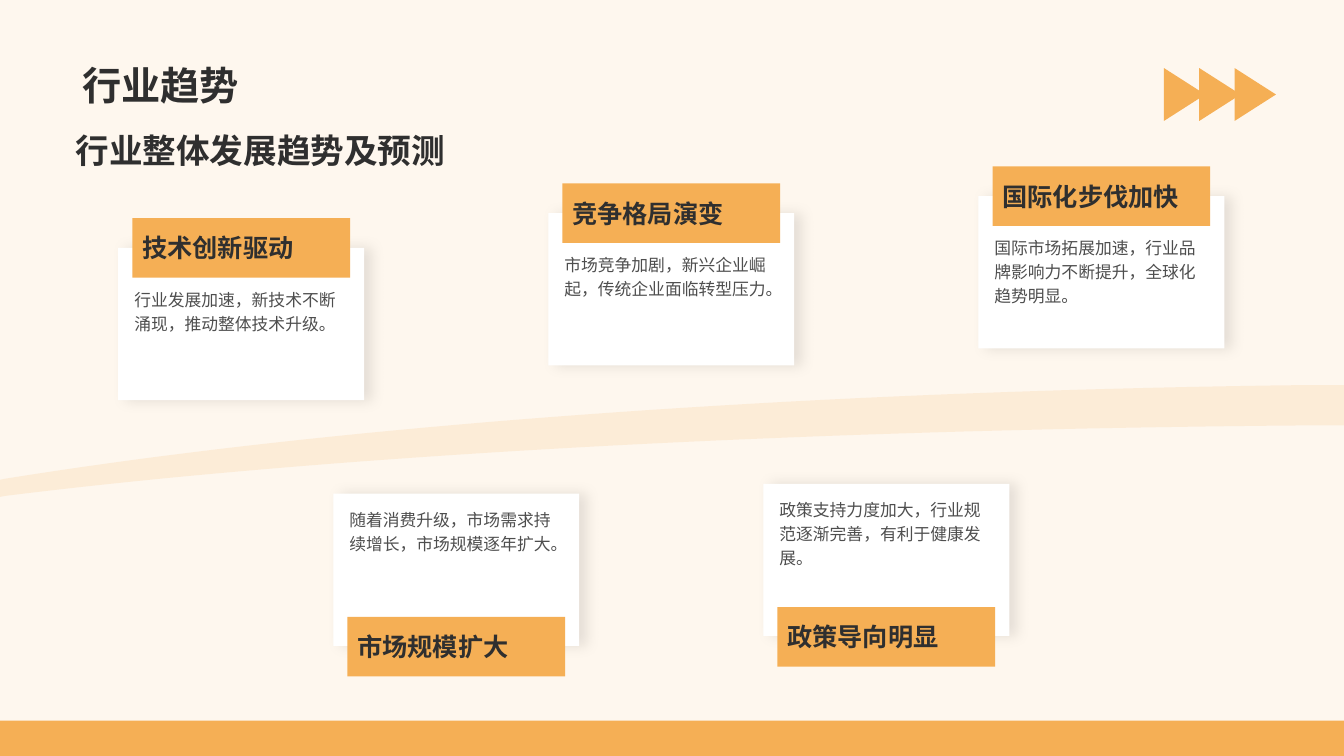
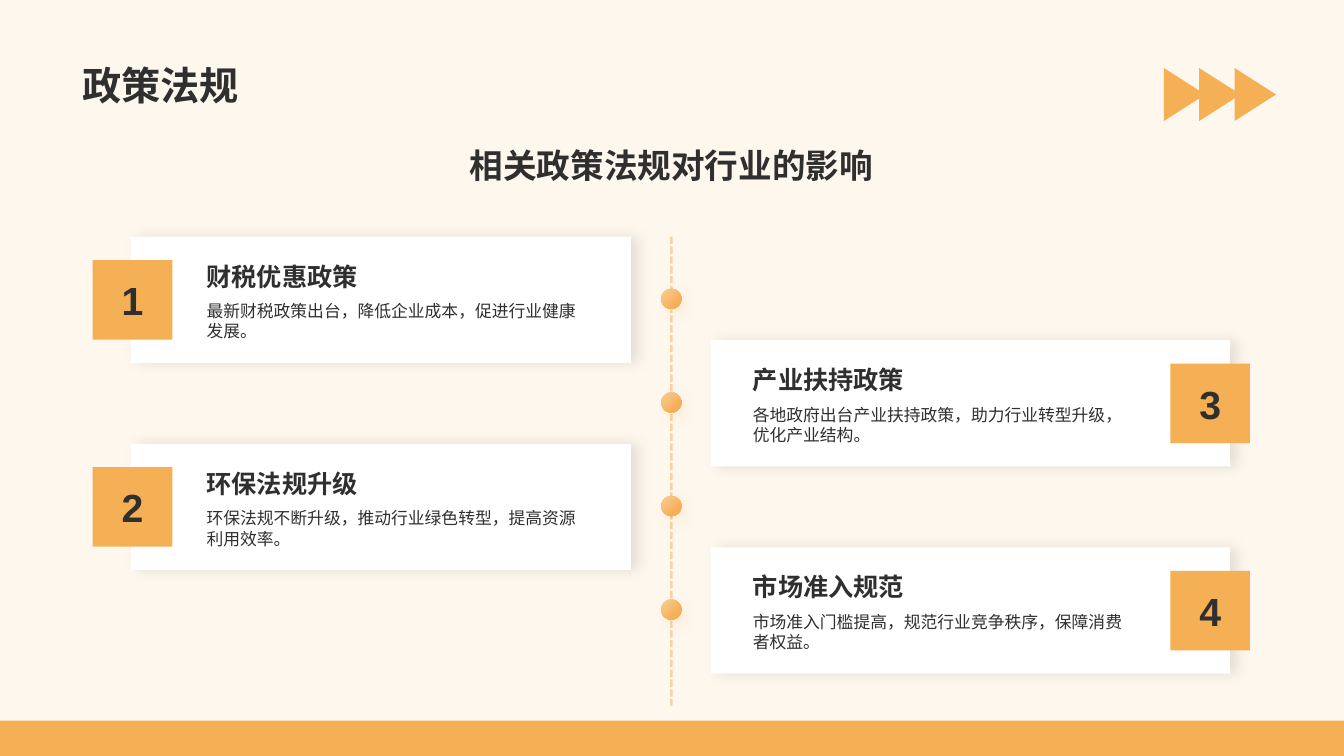
import lxml.etree
import pptx
import pptx.dml.color
import pptx.enum.dml
import pptx.enum.shapes
import pptx.enum.text
import pptx.oxml.ns
import pptx.util

RGB = pptx.dml.color.RGBColor.from_string
PRESET = pptx.enum.shapes.MSO_SHAPE
ALIGN = pptx.enum.text.PP_ALIGN
ANCHOR = pptx.enum.text.MSO_ANCHOR
qn = pptx.oxml.ns.qn


class Theme:
    paper, card, ink, body = "FEF7EE", "FFFFFF", "2F2F2F", "4E4E4E"
    accent, glow, shade = "F5AF55", "F9CF99", "000000"
    title, subtitle, heading, text = 28, 24, 18, 12
    font, body_font = "Arial", "Roboto"


deck = pptx.Presentation()
deck.slide_width = pptx.util.Inches(40 / 3)
deck.slide_height = pptx.util.Inches(7.5)
# The grid: 100 columns by 100 rows
COL = deck.slide_width / 100
ROW = deck.slide_height / 100


def block(slide, preset, x, y, w, h, color, shadow=None):
    """Add a filled shape on the grid; shadow is (colour, percent, degrees)."""
    shape = slide.shapes.add_shape(
        preset, int(x * COL), int(y * ROW), int(w * COL), int(h * ROW))
    shape.fill.solid()
    shape.fill.fore_color.rgb = RGB(color)
    shape.line.fill.background()
    shape.shadow.inherit = False
    if shadow:
        tint, percent, degrees = shadow
        effects = shape.element.spPr.find(qn("a:effectLst"))
        outer = lxml.etree.SubElement(
            effects, qn("a:outerShdw"), blurRad=str(pptx.util.Pt(10)),
            dist=str(pptx.util.Pt(5)), dir=str(degrees * 60000),
            algn="l", rotWithShape="0")
        shade = lxml.etree.SubElement(outer, qn("a:srgbClr"), val=tint)
        lxml.etree.SubElement(shade, qn("a:alpha"), val=str(percent * 1000))
    return shape


def write(holder, text, size, bold=True, color=Theme.ink, font=Theme.font,
          align=ALIGN.LEFT, anchor=ANCHOR.TOP, spacing=None, wrap=True):
    frame = holder.text_frame
    frame.word_wrap = wrap
    frame.vertical_anchor = anchor
    paragraph = frame.paragraphs[0]
    paragraph.text = text
    paragraph.alignment = align
    paragraph.line_spacing = spacing
    paragraph.font.size = pptx.util.Pt(size)
    paragraph.font.bold = bold
    paragraph.font.name = font
    paragraph.font.color.rgb = RGB(color)


# Shared background, bottom band, arrows and titles
paper = deck.slide_master.background.fill
paper.solid()
paper.fore_color.rgb = RGB(Theme.paper)

headers = [
    ("行业趋势", "行业整体发展趋势及预测", (4.88, 16.53, 49.4, 7.6), ALIGN.LEFT, ANCHOR.TOP),
    ("政策法规", "相关政策法规对行业的影响", (5.4, 16.53, 89.1, 10.53), ALIGN.CENTER, ANCHOR.MIDDLE),
]
pages = []
for title, subtitle, area, align, anchor in headers:
    page = deck.slides.add_slide(deck.slide_layouts[6])
    pages.append(page)
    block(page, PRESET.RECTANGLE, 0, 95.33, 100, 4.67, Theme.accent)
    for step in range(3):
        left = 86.6 + 2.63 * step
        outline = page.shapes.build_freeform(int(left * COL), int(9 * ROW))
        outline.add_line_segments([(int((left + 3.08) * COL), int(12.5 * ROW)),
                                   (int(left * COL), int(16 * ROW))])
        arrow = outline.convert_to_shape()
        arrow.fill.solid()
        arrow.fill.fore_color.rgb = RGB(Theme.accent)
        arrow.line.fill.background()
        arrow.shadow.inherit = False
    for words, size, (x, y, w, h), side, level in (
            (title, Theme.title, (5.4, 1.87, 89.1, 13.07), ALIGN.LEFT, ANCHOR.BOTTOM),
            (subtitle, Theme.subtitle, area, align, anchor)):
        heading = page.shapes.add_textbox(
            int(x * COL), int(y * ROW), int(w * COL), int(h * ROW))
        write(heading, words, size, align=side, anchor=level)
trends, policies = pages

# Trends: the rising band, two Bezier edges joined at the slide's sides
edges = [
    [(0.38, 63.33), (24.53, 56.4), (58.88, 51.73), (97.43, 50.93)],
    [(97.43, 56.27), (58.88, 56.8), (24.53, 60.27), (0.38, 65.6)],
]
STEPS = 40
curves = []
for edge in edges:
    curve = []
    for step in range(STEPS + 1):
        t = step / STEPS
        weights = ((1 - t) ** 3, 3 * t * (1 - t) ** 2, 3 * t ** 2 * (1 - t), t ** 3)
        curve.append(tuple(sum(k * point[axis] for k, point in zip(weights, edge))
                           for axis in (0, 1)))
    curves.append(curve)
rim = [(0, 63.47), *curves[0], (100, 50.93), (100, 56.27), *curves[1], (0, 65.73)]
corners = [(int(x * COL), int(y * ROW)) for x, y in rim]
outline = trends.shapes.build_freeform(*corners[0])
outline.add_line_segments(corners[1:])
band = outline.convert_to_shape()
band.fill.solid()
band.fill.fore_color.rgb = RGB(Theme.accent)
band.line.fill.background()
band.shadow.inherit = False

# Trends: cards alternate above and below the band
trend_cards = [
    (32.8, "技术创新驱动", "行业发展加速，新技术不断涌现，推动整体技术升级。"),
    (65.3, "市场规模扩大", "随着消费升级，市场需求持续增长，市场规模逐年扩大。"),
    (28.2, "竞争格局演变", "市场竞争加剧，新兴企业崛起，传统企业面临转型压力。"),
    (64, "政策导向明显", "政策支持力度加大，行业规范逐渐完善，有利于健康发展。"),
    (25.95, "国际化步伐加快", "国际市场拓展加速，行业品牌影响力不断提升，全球化趋势明显。"),
]
for index, (top, name, detail) in enumerate(trend_cards):
    left = 8.8 + 16 * index
    tag_drop, detail_drop = (16.3, 0.93) if index % 2 else (-3.95, 4.3)
    block(trends, PRESET.RECTANGLE, left, top, 18.3, 20.13, Theme.card,
          (Theme.shade, 10, 0))
    note = trends.shapes.add_textbox(
        int((left + 0.45) * COL), int((top + detail_drop) * ROW),
        int(17.4 * COL), int(14.93 * ROW))
    write(note, detail, Theme.text, False, Theme.body, Theme.body_font, spacing=1.2)
    tag = block(trends, PRESET.RECTANGLE, left + 1.05, top + tag_drop, 16.2, 7.87,
                Theme.accent)
    write(tag, name, Theme.heading, anchor=ANCHOR.MIDDLE)

# Policies: dashed axis
axis = policies.shapes.add_connector(
    pptx.enum.shapes.MSO_CONNECTOR.STRAIGHT,
    int(49.95 * COL), int(31.3 * ROW), int(49.95 * COL), int(93.33 * ROW))
axis.line.color.rgb = RGB(Theme.accent)
axis.line.width = pptx.util.Pt(1.75)
axis.line.dash_style = pptx.enum.dml.MSO_LINE.SQUARE_DOT
lxml.etree.SubElement(axis.element.spPr, qn("a:effectLst"))

# Transparency of band and axis
for faded, percent in ((band, 15), (axis, 50)):
    for tint in faded.element.spPr.iter(qn("a:srgbClr")):
        lxml.etree.SubElement(tint, qn("a:alpha"), val=str(percent * 1000))

# Policies: cards alternate left and right of the axis
policy_cards = [
    ("1", "财税优惠政策", "最新财税政策出台，降低企业成本，促进行业健康发展。"),
    ("3", "产业扶持政策", "各地政府出台产业扶持政策，助力行业转型升级，优化产业结构。"),
    ("2", "环保法规升级", "环保法规不断升级，推动行业绿色转型，提高资源利用效率。"),
    ("4", "市场准入规范", "市场准入门槛提高，规范行业竞争秩序，保障消费者权益。"),
]
sides = [(9.75, 37.2, 6.9, 14.63), (52.88, 38.63, 87.08, 55.28)]
for index, (number, name, detail) in enumerate(policy_cards):
    top = 31.3 + 13.7 * index
    card_left, card_width, number_left, text_left = sides[index % 2]
    block(policies, PRESET.RECTANGLE, card_left, top, card_width, 16.7, Theme.card,
          (Theme.shade, 10, 0))
    badge = block(policies, PRESET.RECTANGLE, number_left, top + 3.1, 5.93, 10.53,
                  Theme.accent)
    write(badge, number, Theme.title, align=ALIGN.CENTER, anchor=ANCHOR.MIDDLE,
          wrap=False)
    for words, size, bold, drop, height, anchor in (
            (name, Theme.heading, True, 1.6, 6.27, ANCHOR.BOTTOM),
            (detail, Theme.text, False, 7.87, 7.2, ANCHOR.TOP)):
        caption = policies.shapes.add_textbox(
            int(text_left * COL), int((top + drop) * ROW),
            int(29.33 * COL), int(height * ROW))
        write(caption, words, size, bold, anchor=anchor)
    dot = block(policies, PRESET.OVAL, 49.2, top + 6.9, 1.5, 2.67, Theme.accent,
                (Theme.accent, 15, 45))
    dot.fill.gradient()
    dot.fill.gradient_angle = 315
    for stop, color, place in zip(dot.fill.gradient_stops,
                                  (Theme.glow, Theme.accent), (0, 0.75)):
        stop.color.rgb = RGB(color)
        stop.position = place

deck.save("out.pptx")
